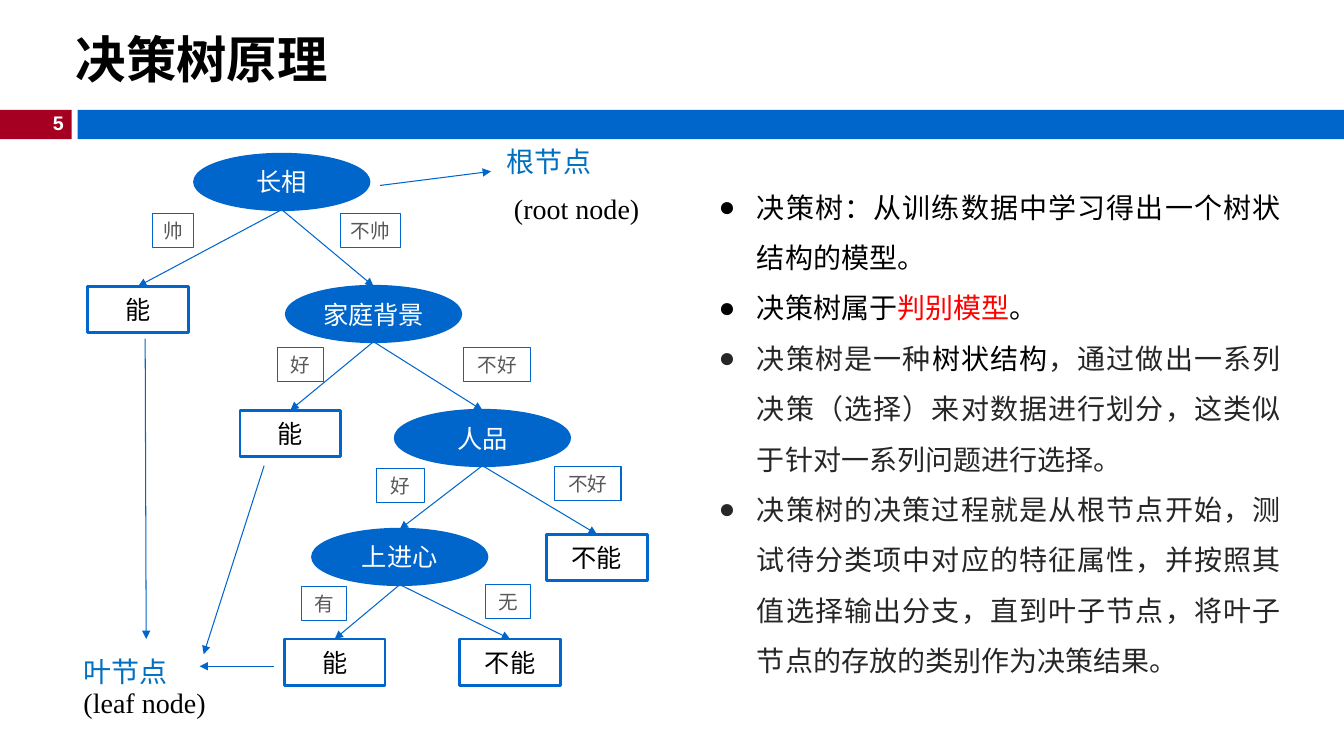
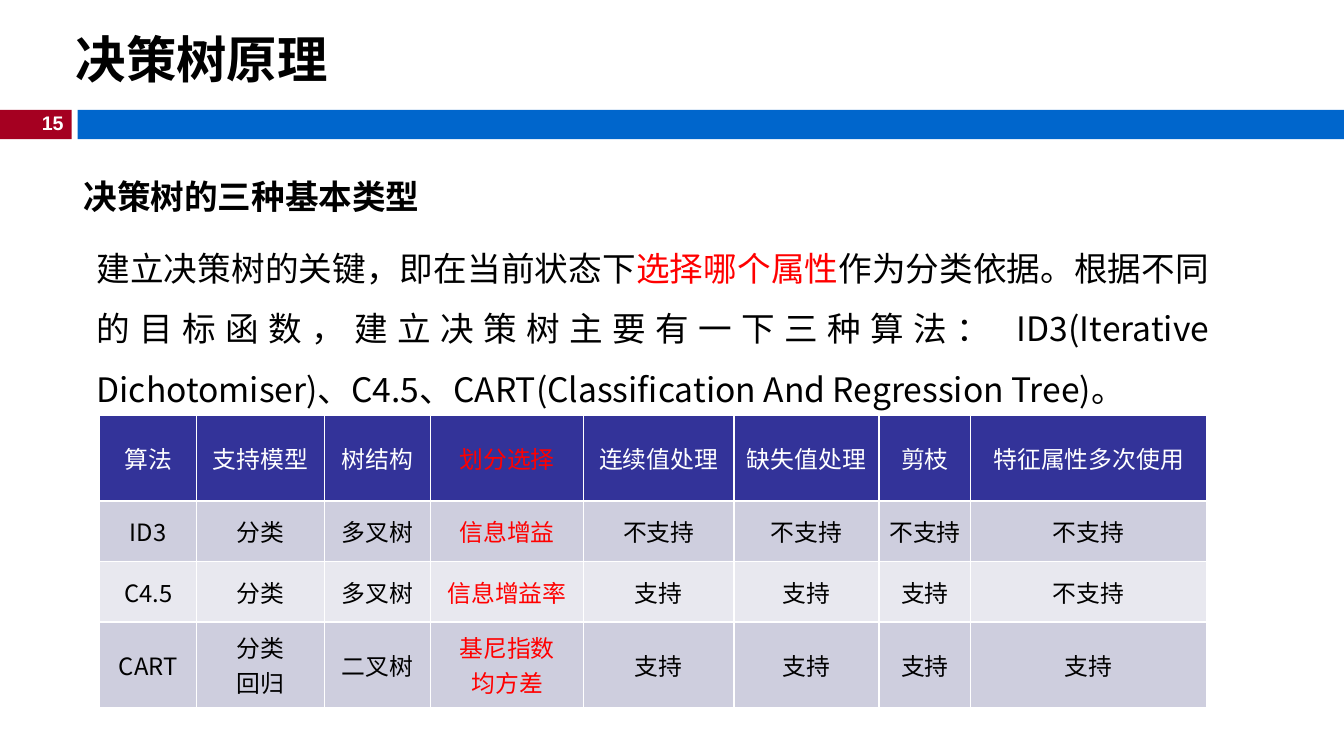
from pptx import Presentation
from pptx.dml.color import RGBColor
from pptx.enum import shapes, text
from pptx.util import Inches, Pt
from lxml import etree

BLUE, CRIMSON, INDIGO = "0066CC", "A50021", "333399"
WHITE, BLACK, RED = "FFFFFF", "000000", "FF0000"
LABEL_GRAY, BODY_GRAY, CALLOUT_BLUE = "595959", "262626", "0070C0"
STRIPES = ["CECEDE", "E8E8EF"]
SANS, SERIF, CJK = "Arial", "Times New Roman", "Noto Sans CJK SC"
NS = "http://schemas.openxmlformats.org/drawingml/2006/main"
LEFT, CENTER, RIGHT, JUSTIFY = (
    text.PP_ALIGN.LEFT, text.PP_ALIGN.CENTER, text.PP_ALIGN.RIGHT, text.PP_ALIGN.JUSTIFY)
TITLE = "决策树原理"


def color(value):
    return RGBColor.from_string(value)


def add_xml(parent, tag, **attributes):
    return etree.SubElement(parent, f"{{{NS}}}{tag}", attributes)


def place(box):
    return [Inches(length) for length in box]


def style(paragraph, size, font=SANS, ink=BLACK, bold=False, align=LEFT):
    paragraph.alignment = align
    paragraph.font.size = Pt(size)
    paragraph.font.bold = bold
    paragraph.font.name = font
    paragraph.font.color.rgb = color(ink)
    add_xml(paragraph.font._element, "ea", typeface=CJK)


def write(frame, paragraphs, size, **look):
    frame.word_wrap = True
    written = []
    for index, runs in enumerate(paragraphs):
        paragraph = frame.add_paragraph() if index else frame.paragraphs[0]
        for piece in [(runs, None)] if isinstance(runs, str) else runs:
            run = paragraph.add_run()
            run.text, ink = piece
            if ink:
                run.font.color.rgb = color(ink)
        style(paragraph, size, **look)
        written.append(paragraph)
    return written


def add_text(slide, box, paragraphs, size, **look):
    frame = slide.shapes.add_textbox(*place(box)).text_frame
    return write(frame, paragraphs, size, **look)


def add_block(slide, box, fill=None, line=None, width=2, kind="RECTANGLE"):
    block = slide.shapes.add_shape(getattr(shapes.MSO_SHAPE, kind), *place(box))
    block.shadow.inherit = False
    if fill:
        block.fill.solid()
        block.fill.fore_color.rgb = color(fill)
    else:
        block.fill.background()
    if line:
        block.line.color.rgb = color(line)
        block.line.width = Pt(width)
    else:
        block.line.fill.background()
    return block


def add_arrow(slide, start, end):
    arrow = slide.shapes.add_connector(shapes.MSO_CONNECTOR.STRAIGHT, *start, *end)
    arrow.line.color.rgb = color(BLUE)
    arrow.line.width = Pt(0.75)
    add_xml(arrow.line._get_or_add_ln(), "tailEnd", type="triangle")
    add_xml(arrow._element.spPr, "effectLst")
    return arrow


def add_page(deck, number):
    slide = deck.slides.add_slide(deck.slide_layouts[5])
    add_block(slide, (0, 1.09, 0.71, 0.29), CRIMSON)
    add_block(slide, (0.77, 1.09, 12.56, 0.29), BLUE)
    add_text(slide, (0.29, 1.05, 0.44, 0.34), [str(number)], 14,
             ink=WHITE, bold=True, align=RIGHT)
    title = slide.shapes.title
    title.left, title.top, title.width, title.height = place((0.65, 0.11, 9.54, 0.94))
    title.text_frame.auto_size = text.MSO_AUTO_SIZE.NONE
    title.text_frame.vertical_anchor = text.MSO_ANCHOR.MIDDLE
    write(title.text_frame, [TITLE], 36, bold=True)
    return slide


def add_node(slide, x, y, caption, is_test):
    if is_test:
        node = add_block(slide, (x, y, 1.73, 0.55), BLUE, BLUE, kind="OVAL")
    else:
        node = add_block(slide, (x, y, 1, 0.46), WHITE, BLUE)
    write(node.text_frame, [caption], 18, ink=WHITE if is_test else BLACK, align=CENTER)
    return node


def add_answer(slide, x, y, width, caption):
    answer = add_block(slide, (x, y, width, 0.34), line=BLUE, width=0.75)
    frame = answer.text_frame
    frame.margin_left = frame.margin_right = Inches(0.05)
    write(frame, [caption], 14, ink=LABEL_GRAY, align=CENTER)


def add_tree(slide, left, top):
    tests = {
        "looks": (1.06, 0, "长相"),
        "family": (1.97, 1.31, "家庭背景"),
        "character": (3.05, 2.54, "人品"),
        "ambition": (2.23, 3.72, "上进心"),
    }
    leaves = {
        "handsome": (0, 1.31, "能"),
        "good family": (1.51, 2.54, "能"),
        "bad character": (4.55, 3.77, "不能"),
        "ambitious": (1.95, 4.81, "能"),
        "unambitious": (3.69, 4.81, "不能"),
    }
    branches = [
        ("looks", "handsome", 0.64, 0.59, 0.41, "帅"),
        ("looks", "family", 2.51, 0.59, 0.59, "不帅"),
        ("family", "good family", 1.88, 1.92, 0.46, "好"),
        ("family", "character", 3.73, 1.92, 0.66, "不好"),
        ("character", "ambition", 2.86, 3.12, 0.48, "好"),
        ("character", "bad character", 4.63, 3.1, 0.66, "不好"),
        ("ambition", "ambitious", 2.12, 4.29, 0.45, "有"),
        ("ambition", "unambitious", 3.95, 4.27, 0.44, "无"),
    ]
    pointers = [
        (2.9, 0.31, 4, 0.17),
        (0.57, 1.83, 0.58, 4.81),
        (1.75, 3.09, 1.15, 4.96),
        (1.85, 5.08, 1.11, 5.08),
    ]
    nodes = {key: add_node(slide, left + x, top + y, caption, key in tests)
             for key, (x, y, caption) in {**tests, **leaves}.items()}
    for parent, child, x, y, width, caption in branches:
        source = nodes[parent]
        start = source.left + source.width // 2, source.top + source.height
        add_arrow(slide, start, start).end_connect(nodes[child], 0)
        add_answer(slide, left + x, top + y, width, caption)
    for x1, y1, x2, y2 in pointers:
        add_arrow(slide, place((left + x1, top + y1)), place((left + x2, top + y2)))


def add_callout(slide, box, term, translation, line_spacing=1.0):
    chinese, english = add_text(slide, box, [term, translation], 20)
    style(chinese, 20, font=CJK, ink=CALLOUT_BLUE)
    style(english, 20, font=SERIF)
    english.space_before = Pt(10)
    chinese.line_spacing = english.line_spacing = line_spacing


def add_bullets(slide, box, items):
    frame = slide.shapes.add_textbox(*place(box)).text_frame
    for _ in items[1:]:
        frame.add_paragraph()
    for paragraph in frame.paragraphs:
        properties = paragraph._p.get_or_add_pPr()
        properties.set("marL", str(Inches(0.38)))
        properties.set("indent", str(-Inches(0.38)))
        add_xml(properties, "buFont", typeface=SANS)
        add_xml(properties, "buChar", char="●")
        paragraph.line_spacing = 1.5
    frame.word_wrap = True
    for paragraph, runs in zip(frame.paragraphs, items):
        for words, ink in runs:
            run = paragraph.add_run()
            run.text = words
            run.font.color.rgb = color(ink)
        style(paragraph, 20, font=SERIF, ink=runs[0][1], align=JUSTIFY)


def add_comparison(slide, box, widths, heights, rows, accent_column):
    table = slide.shapes.add_table(len(rows), len(widths), *place(box)).table
    for column, width in zip(table.columns, widths):
        column.width = Inches(width)
    for row, height in zip(table.rows, heights):
        row.height = Inches(height)
    for r, values in enumerate(rows):
        for c, value in enumerate(values):
            cell = table.cell(r, c)
            cell.fill.solid()
            cell.fill.fore_color.rgb = color(STRIPES[(r - 1) % 2] if r else INDIGO)
            cell.vertical_anchor = text.MSO_ANCHOR.MIDDLE
            cell.margin_left = cell.margin_right = Inches(0.05)
            ink = RED if c == accent_column else BLACK if r else WHITE
            write(cell.text_frame, value.split("\n"), 17, font=CJK, ink=ink, align=CENTER)


def build_tree_slide(deck):
    slide = add_page(deck, 5)
    add_tree(slide, 0.87, 1.53)
    add_callout(slide, (4.93, 1.38, 1.87, 0.94), "根节点", " (root node)")
    add_callout(slide, (0.73, 6.59, 6.67, 0.63), "叶节点", "(leaf node)", 0.5)
    add_bullets(slide, (7.03, 1.67, 5.77, 5.09), [
        [("决策树：从训练数据中学习得出一个树状结构的模型。", BLACK)],
        [("决策树属于", BLACK), ("判别模型", RED), ("。", BLACK)],
        [("决策树是一种", BODY_GRAY), ("树状结构", BLACK),
         ("，通过做出一系列决策（选择）来对数据进行划分，这类似于针对一系列问题进行选择。", BODY_GRAY)],
        [("决策树的决策过程就是从根节点开始，测试待分类项中对应的特征属性，并按照其值选择输出分支，"
          "直到叶子节点，将叶子节点的存放的类别作为决策结果。", BODY_GRAY)],
    ])


def build_types_slide(deck):
    slide = add_page(deck, 15)
    add_text(slide, (0.73, 1.7, 6.67, 0.5), ["决策树的三种基本类型"], 24, bold=True)
    introduction = [
        ("建立决策树的关键，即在当前状态下", None),
        ("选择哪个属性", RED),
        ("作为分类依据。根据不同的目标函数，建立决策树主要有一下三种算法： "
         "ID3(Iterative Dichotomiser)、C4.5、CART(Classification And Regression Tree)。", None),
    ]
    for paragraph in add_text(slide, (0.86, 2.21, 11.23, 1.85), [introduction], 24,
                              font=CJK, align=JUSTIFY):
        paragraph.line_spacing = 1.5
    add_comparison(
        slide, (0.99, 4.12, 10.98, 2.9),
        [0.96, 1.27, 1.05, 1.52, 1.49, 1.44, 0.91, 2.34],
        [0.85, 0.6, 0.6, 0.85],
        [
            ["算法", "支持模型", "树结构", "划分选择", "连续值处理", "缺失值处理", "剪枝", "特征属性多次使用"],
            ["ID3", "分类", "多叉树", "信息增益", "不支持", "不支持", "不支持", "不支持"],
            ["C4.5", "分类", "多叉树", "信息增益率", "支持", "支持", "支持", "不支持"],
            ["CART", "分类\n回归", "二叉树", "基尼指数\n均方差", "支持", "支持", "支持", "支持"],
        ],
        accent_column=3)


def main():
    deck = Presentation()
    deck.slide_width, deck.slide_height = Inches(13.33), Inches(7.5)
    build_tree_slide(deck)
    build_types_slide(deck)
    deck.save("out.pptx")


if __name__ == "__main__":
    main()
